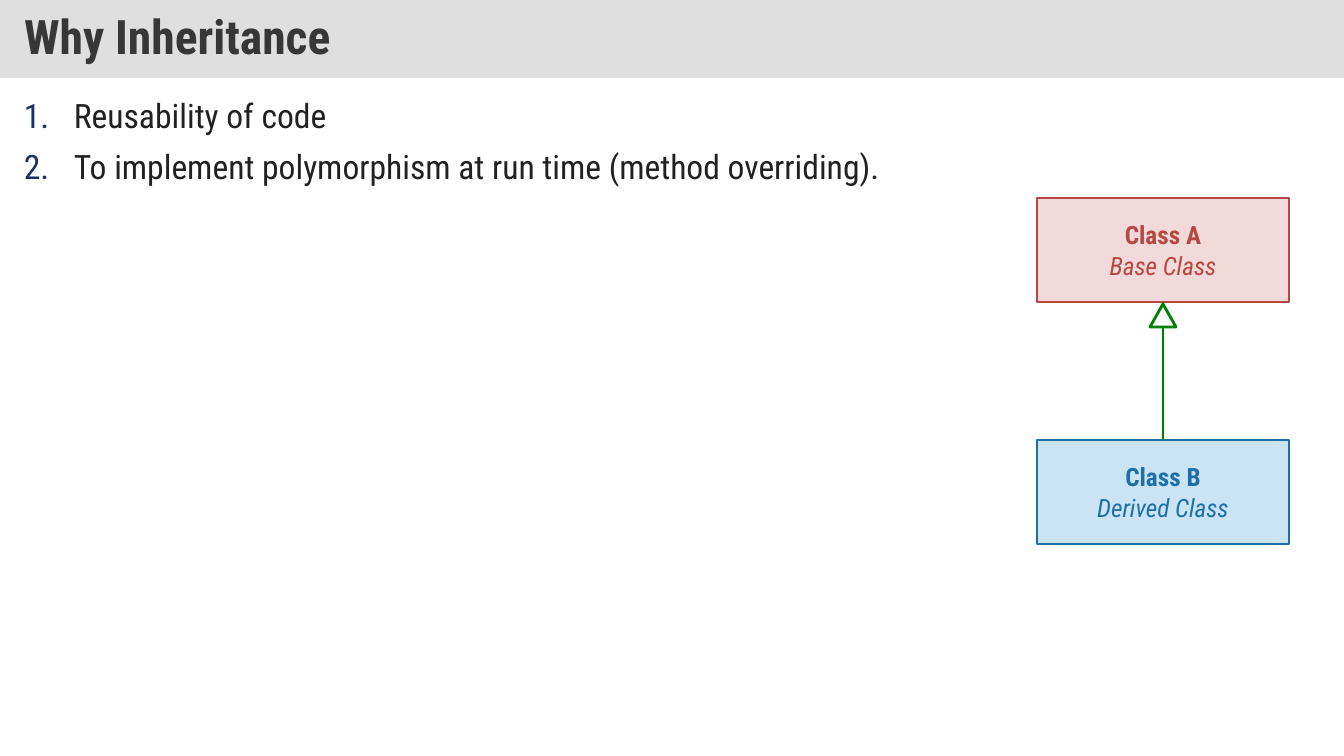
from dataclasses import dataclass

from lxml import etree
from pptx import Presentation
from pptx.dml.color import RGBColor
from pptx.enum.shapes import MSO_CONNECTOR, MSO_SHAPE
from pptx.enum.text import MSO_ANCHOR, MSO_AUTO_SIZE, PP_ALIGN
from pptx.oxml.ns import qn
from pptx.util import Emu, Pt

EMU_PER_PX = 914400 / 100.8
TITLE_ONLY = 5
RECTANGLE, TRIANGLE = MSO_SHAPE.RECTANGLE, MSO_SHAPE.ISOSCELES_TRIANGLE
STRAIGHT = MSO_CONNECTOR.STRAIGHT
MIDDLE, TOP = MSO_ANCHOR.MIDDLE, MSO_ANCHOR.TOP
LEFT, CENTER, JUSTIFY = PP_ALIGN.LEFT, PP_ALIGN.CENTER, PP_ALIGN.JUSTIFY
NO_FIT = MSO_AUTO_SIZE.NONE


@dataclass(frozen=True)
class Theme:
    font: str = "Roboto Condensed"
    title_size: int = 34
    body_size: int = 24
    class_size: int = 18
    title_fill: str = "DFDFDF"
    title_text: str = "373737"
    body_text: str = "212121"
    number: str = "1D3064"
    base_fill: str = "F1DAD9"
    base_line: str = "B84742"
    derived_fill: str = "CAE4F6"
    derived_line: str = "1D6FA9"
    arrow: str = "008000"
    arrow_fill: str = "FFFFFF"


THEME = Theme()
REASONS = [
    "Reusability of code",
    "To implement polymorphism at run time (method overriding).",
]


def px(length):
    return Emu(round(length * EMU_PER_PX))


def apply(target, values):
    for name, value in values.items():
        setattr(target, name, value)


def style_font(font, size, color, **values):
    apply(font, {"name": THEME.font, "size": Pt(size), **values})
    font.color.rgb = RGBColor.from_string(color)


def paint(shape, fill, line, width):
    shape.shadow.inherit = False
    shape.fill.solid()
    shape.fill.fore_color.rgb = RGBColor.from_string(fill)
    shape.line.color.rgb = RGBColor.from_string(line)
    shape.line.width = Pt(width)


def add_title(page, text):
    title = page.shapes.title
    apply(title, {"left": px(0), "top": px(0), "width": px(1344), "height": px(78)})
    title.fill.solid()
    title.fill.fore_color.rgb = RGBColor.from_string(THEME.title_fill)
    apply(title.text_frame, {
        "text": text, "word_wrap": True, "auto_size": NO_FIT, "vertical_anchor": MIDDLE,
        "margin_left": px(24), "margin_right": px(24),
        "margin_top": px(12), "margin_bottom": px(12),
    })
    para = title.text_frame.paragraphs[0]
    apply(para, {"alignment": LEFT, "line_spacing": 0.9})
    style_font(para.runs[0].font, THEME.title_size, THEME.title_text, bold=True)


def number_paragraph(para):
    """Give the paragraph a coloured automatic number with a hanging indent."""
    properties = para._p.get_or_add_pPr()
    properties.set("marL", str(px(50)))
    properties.set("indent", str(px(-50)))
    color = etree.SubElement(properties, qn("a:buClr"))
    etree.SubElement(color, qn("a:srgbClr"), val=THEME.number)
    etree.SubElement(properties, qn("a:buFont"), typeface=THEME.font)
    etree.SubElement(properties, qn("a:buAutoNum"), type="arabicPeriod")


def add_numbered_list(page, items):
    frame = page.shapes.add_textbox(px(14), px(95), px(1315), px(616)).text_frame
    apply(frame, {"word_wrap": True, "auto_size": NO_FIT, "vertical_anchor": TOP})
    for index, item in enumerate(items):
        para = frame.add_paragraph() if index else frame.paragraphs[0]
        number_paragraph(para)
        apply(para, {"alignment": JUSTIFY, "line_spacing": 0.9,
                     "space_before": Pt(10 if index else 0)})
        span = para.add_run()
        span.text = item
        style_font(span.font, THEME.body_size, THEME.body_text)


def add_class_box(page, top, name, role, fill, line):
    box = page.shapes.add_shape(RECTANGLE, px(1037), px(top), px(252), px(104))
    paint(box, fill, line, 1)
    frame = box.text_frame
    apply(frame, {"text": f"{name}\n{role}", "word_wrap": True, "vertical_anchor": MIDDLE})
    for para, emphasis in zip(frame.paragraphs, ("bold", "italic")):
        para.alignment = CENTER
        style_font(para.runs[0].font, THEME.class_size, line, **{emphasis: True})


def add_inheritance_arrow(page, x, start, end):
    """Draw an upward line that ends in a hollow triangle."""
    stem = page.shapes.add_connector(STRAIGHT, px(x), px(start), px(x), px(end))
    stem.line.color.rgb = RGBColor.from_string(THEME.arrow)
    stem.line.width = Pt(2)
    etree.SubElement(stem._element.spPr, qn("a:effectLst"))
    head = page.shapes.add_shape(TRIANGLE, px(x - 13), px(end + 2), px(26), px(23))
    paint(head, THEME.arrow_fill, THEME.arrow, 2)


def main():
    deck = Presentation()
    apply(deck, {"slide_width": px(1344), "slide_height": px(756)})
    page = deck.slides.add_slide(deck.slide_layouts[TITLE_ONLY])
    add_title(page, "Why Inheritance")
    add_numbered_list(page, REASONS)
    add_class_box(page, 198, "Class A", "Base Class", THEME.base_fill, THEME.base_line)
    add_class_box(page, 440, "Class B", "Derived Class",
                  THEME.derived_fill, THEME.derived_line)
    add_inheritance_arrow(page, 1163, 440, 302)
    deck.save("out.pptx")


if __name__ == "__main__":
    main()
